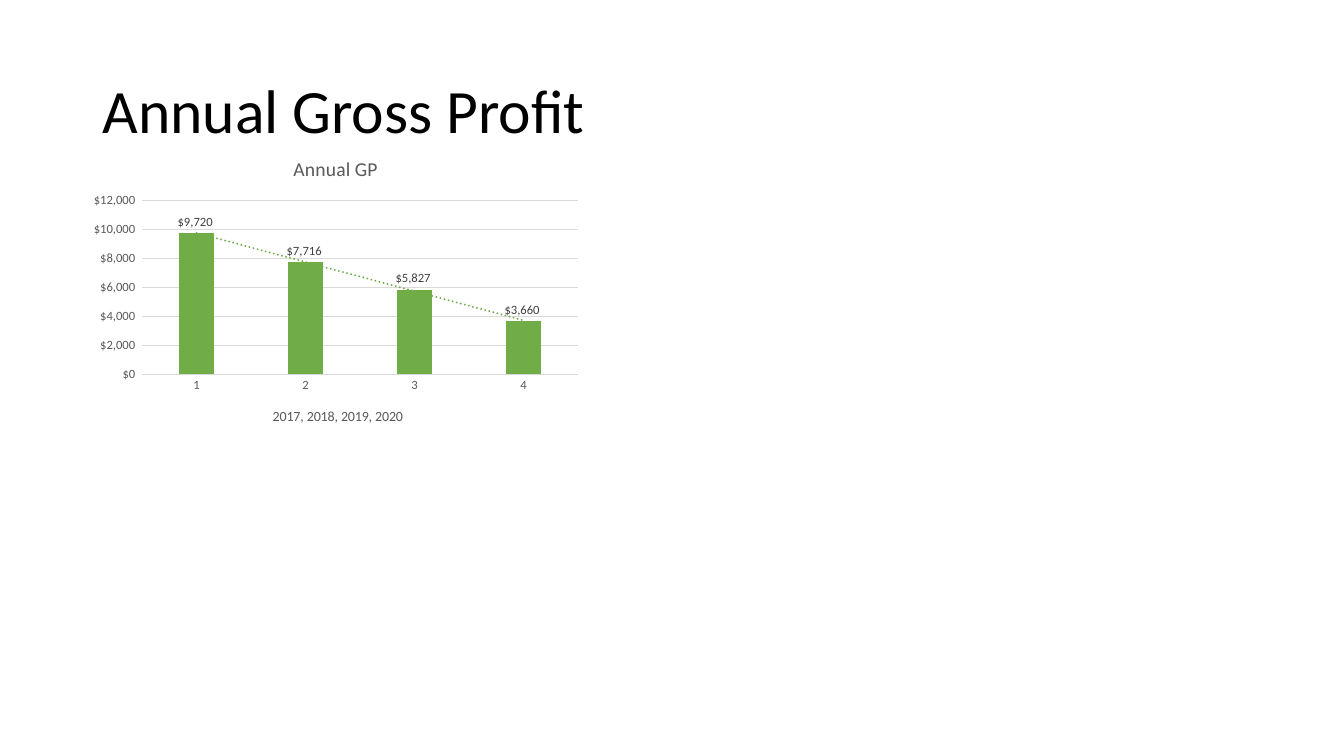
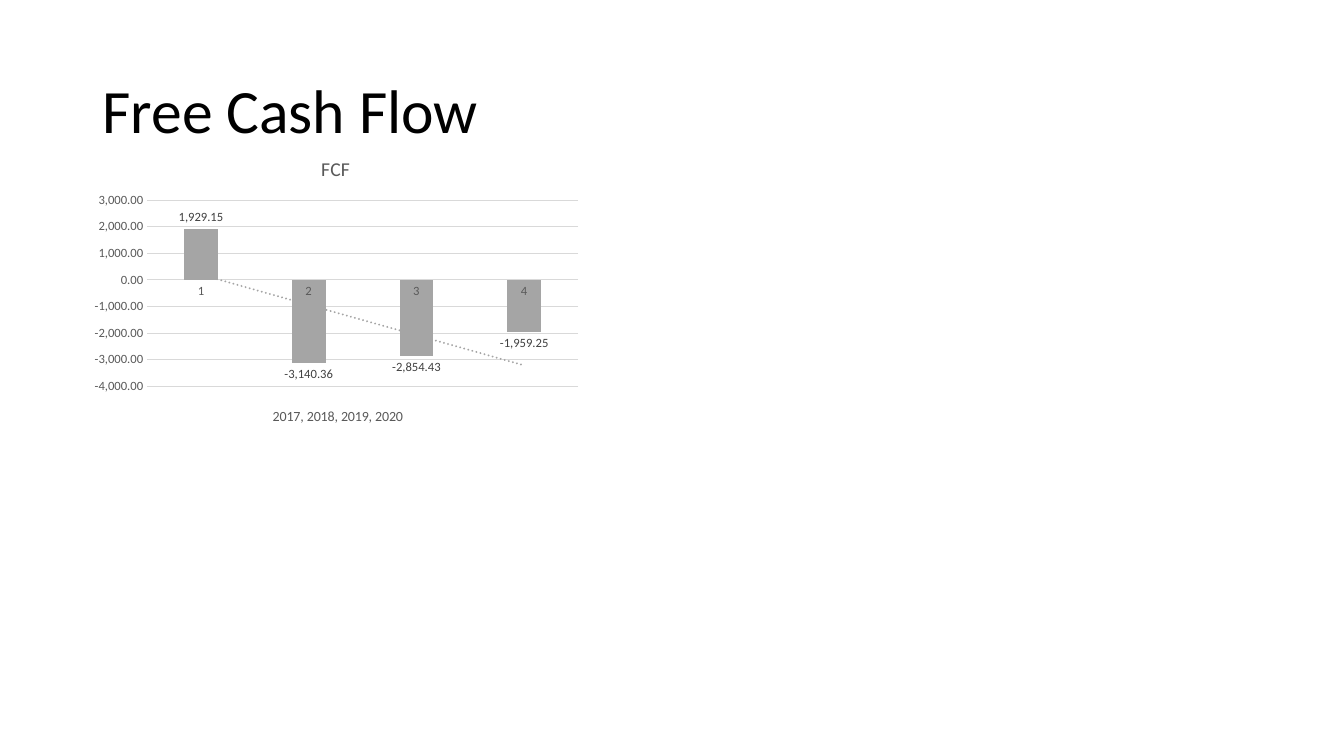
from pptx import Presentation
from pptx.chart.data import CategoryChartData
from pptx.dml.color import RGBColor
from pptx.enum.chart import XL_CHART_TYPE, XL_LABEL_POSITION, XL_TICK_MARK
from pptx.enum.text import MSO_ANCHOR, PP_ALIGN
from pptx.oxml import parse_xml
from pptx.oxml.ns import nsdecls, qn
from pptx.util import Pt

FONT = "Calibri"
BLACK = RGBColor(0x00, 0x00, 0x00)
LABEL_GRAY = RGBColor(0x40, 0x40, 0x40)
TEXT_GRAY = RGBColor(0x59, 0x59, 0x59)
GRID_GRAY = RGBColor(0xD9, 0xD9, 0xD9)
GREEN = RGBColor(0x70, 0xAD, 0x47)
SILVER = RGBColor(0xA5, 0xA5, 0xA5)

TITLE_BOX = (66, 28.8, 828, 104.4)
CHART_BOX = (59.76, 100.08, 360, 214.56)
YEARS = "2017, 2018, 2019, 2020"
DOLLARS = '"$"#,##0_);[Red]\\("$"#,##0\\)'
DECIMALS = "#,##0.00"


def style_font(font, size, color):
    font.name = FONT
    font.size = Pt(size)
    font.bold = False
    font.color.rgb = color


def set_layout(parent, position, target="", **fractions):
    for old in parent.findall(qn("c:layout")):
        parent.remove(old)
    modes = "".join(f'<c:{axis}Mode val="edge"/>' for axis in "xy")
    sizes = "".join(f'<c:{key} val="{value}"/>' for key, value in fractions.items())
    parent.insert(position, parse_xml(
        f'<c:layout {nsdecls("c")}><c:manualLayout>{target}{modes}{sizes}'
        "</c:manualLayout></c:layout>"))


def add_trendline(series, color):
    trendline = parse_xml(
        f'<c:trendline {nsdecls("c", "a")}><c:spPr><a:ln w="{Pt(1.5)}" cap="rnd">'
        f'<a:solidFill><a:srgbClr val="{color}"/></a:solidFill>'
        '<a:prstDash val="sysDot"/></a:ln></c:spPr>'
        '<c:trendlineType val="linear"/><c:dispRSqr val="0"/><c:dispEq val="0"/>'
        "</c:trendline>")
    series._element.find(qn("c:cat")).addprevious(trendline)


def write_chart_text(text_frame, text, size):
    text_frame.text = text
    style_font(text_frame.paragraphs[0].runs[0].font, size, TEXT_GRAY)


def style_axes(chart, number_format):
    years, amounts = chart.category_axis, chart.value_axis
    for axis in (years, amounts):
        axis.major_tick_mark = axis.minor_tick_mark = XL_TICK_MARK.NONE
        style_font(axis.tick_labels.font, 9, TEXT_GRAY)
    years.has_major_gridlines = False
    years.format.line.color.rgb = GRID_GRAY
    years.format.line.width = Pt(0.75)
    write_chart_text(years.axis_title.text_frame, YEARS, 10)
    amounts.format.line.fill.background()
    amounts.has_major_gridlines = True
    amounts.major_gridlines.format.line.color.rgb = GRID_GRAY
    amounts.major_gridlines.format.line.width = Pt(0.75)
    amounts.tick_labels.number_format = number_format
    amounts.tick_labels.number_format_is_linked = False


def style_columns(plot, color, number_format):
    plot.gap_width = 219
    plot.overlap = -27
    plot.vary_by_categories = False
    series = plot.series[0]
    series.format.fill.solid()
    series.format.fill.fore_color.rgb = color
    series.invert_if_negative = False
    labels = series.data_labels
    labels.show_value = True
    labels.position = XL_LABEL_POSITION.OUTSIDE_END
    labels.number_format = number_format
    labels.number_format_is_linked = False
    style_font(labels.font, 9, LABEL_GRAY)
    add_trendline(series, color)


def add_trend_chart(slide, box, name, values, color, number_format, plot_area):
    data = CategoryChartData(number_format=number_format)
    data.categories = ["1", "2", "3", "4"]
    data.add_series(name, values)
    chart = slide.shapes.add_chart(
        XL_CHART_TYPE.COLUMN_CLUSTERED, *map(Pt, box), data).chart
    style_font(chart.font, 10, BLACK)
    chart.has_legend = False
    chart.has_title = True
    write_chart_text(chart.chart_title.text_frame, name, 14)
    chart.chart_title.include_in_layout = False
    style_axes(chart, number_format)
    style_columns(chart.plots[0], color, number_format)
    root = chart.element
    set_layout(root.xpath(".//c:plotArea")[0], 0,
               '<c:layoutTarget val="inner"/>', **plot_area)
    set_layout(root.xpath(".//c:catAx/c:title")[0], 1, x=0.37, y=0.88)


def place_title(title, box, text):
    title.left, title.top, title.width, title.height = map(Pt, box)
    frame = title.text_frame
    frame.text = text
    frame.vertical_anchor = MSO_ANCHOR.MIDDLE
    paragraph = frame.paragraphs[0]
    paragraph.alignment = PP_ALIGN.LEFT
    paragraph.line_spacing = 0.9
    style_font(paragraph.runs[0].font, 44, BLACK)


def add_chart_slide(prs, title, *chart_spec):
    slide = prs.slides.add_slide(prs.slide_layouts.get_by_name("Title Only"))
    place_title(slide.shapes.title, TITLE_BOX, title)
    add_trend_chart(slide, CHART_BOX, *chart_spec)


prs = Presentation()
prs.slide_width, prs.slide_height = Pt(960), Pt(540)
add_chart_slide(prs, "Annual Gross Profit", "Annual GP",
                (9720, 7716, 5827, 3660), GREEN, DOLLARS,
                {"x": 0.116, "y": 0.2, "w": 0.865, "h": 0.58})
add_chart_slide(prs, "Free Cash Flow", "FCF",
                (1929.15, -3140.36, -2854.43, -1959.25), SILVER, DECIMALS,
                {"x": 0.126, "y": 0.2, "w": 0.855, "h": 0.62})
prs.save("out.pptx")
